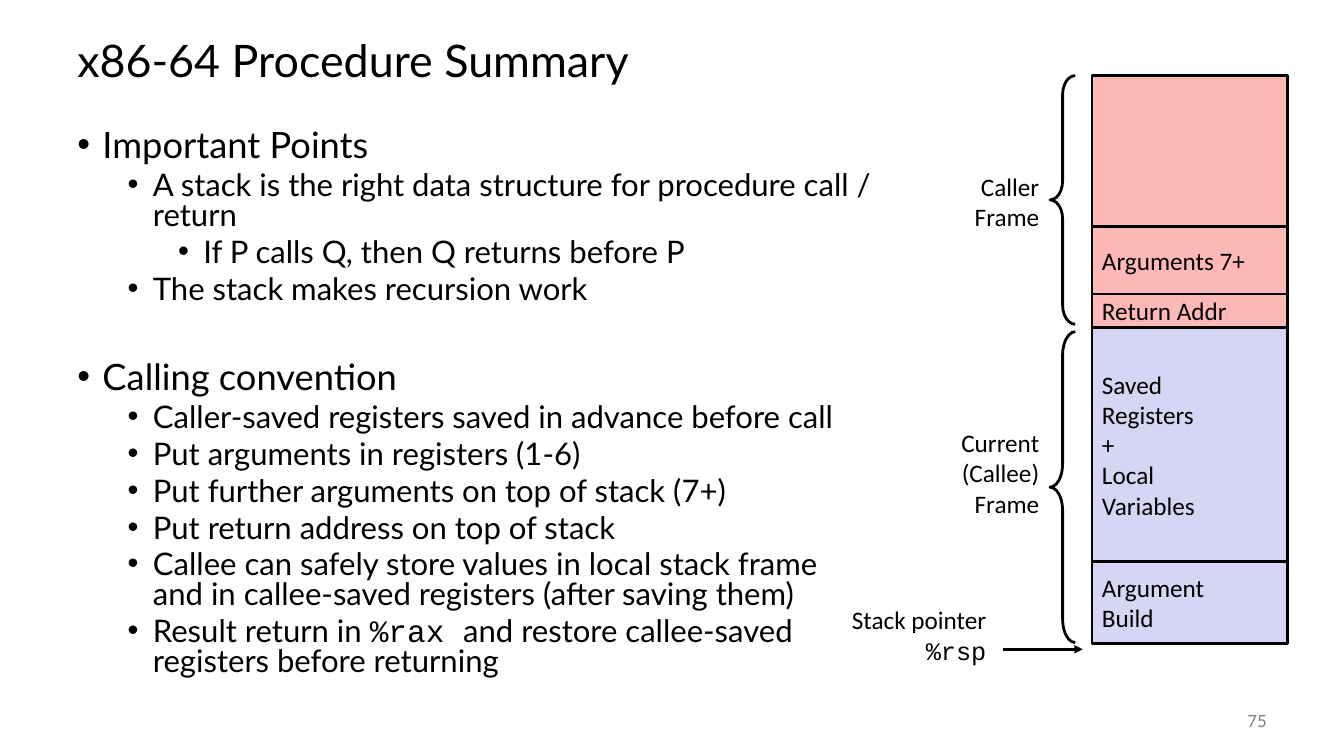
from lxml.etree import SubElement
from pptx import Presentation
from pptx.dml.color import RGBColor
from pptx.enum.shapes import MSO_CONNECTOR, MSO_SHAPE
from pptx.enum.text import MSO_ANCHOR, MSO_AUTO_SIZE, PP_ALIGN
from pptx.oxml.ns import qn
from pptx.util import Inches, Pt

BLACK = RGBColor(0x00, 0x00, 0x00)
GRAY = RGBColor(0x80, 0x80, 0x80)
PINK = RGBColor(0xFF, 0xB8, 0xB8)
LILAC = RGBColor(0xD6, 0xD6, 0xF4)

TEXT_FONT, LABEL_FONT, CODE_FONT = "Lato", "Calibri", "Courier New"
WIDTH, HEIGHT = Inches(13.33), Inches(7.5)
COLUMNS, ROWS = 160, 90

STACK_LEFT, STACK_TOP, STACK_WIDTH = 130, 9, 23.3
STACK_BLOCKS = [  # rows high, fill, text
    (18, PINK, ""),
    (8, PINK, "Arguments 7+"),
    (4, PINK, "Return Addr"),
    (27.85, LILAC, "Saved\nRegisters\n+\nLocal\nVariables"),
    (9.75, LILAC, "Argument\nBuild"),
]
SECTION_GAP = 40.5
LEVEL_SIZES = [25.9, 22.2, 22.2]
POINTS = [  # level, space before, text
    (0, 0, "Important Points"),
    (1, 5, "A stack is the right data structure for procedure call / return"),
    (2, 5, "If P calls Q, then Q returns before P"),
    (1, 5, "The stack makes recursion work"),
    (0, SECTION_GAP, "Calling convention"),
    (1, 5, "Caller-saved registers saved in advance before call"),
    (1, 5, "Put arguments in registers (1-6)"),
    (1, 5, "Put further arguments on top of stack (7+)"),
    (1, 5, "Put return address on top of stack"),
    (1, 5, "Callee can safely store values in local stack frame\v"
           "and in callee-saved registers (after saving them)"),
    (1, 5, ("Result return in ", "%rax ", "and restore callee-saved registers before returning")),
]


def grid(left, top, width, height):
    """Turn columns and rows into slide lengths."""
    return (int(WIDTH * left / COLUMNS), int(HEIGHT * top / ROWS),
            int(WIDTH * width / COLUMNS), int(HEIGHT * height / ROWS))


def place(shape, *cells):
    shape.left, shape.top, shape.width, shape.height = grid(*cells)


def format_runs(paragraph, size, font_name, color=BLACK):
    """Format every run, with register names in the code font."""
    for run in paragraph.runs:
        run.font.size = Pt(size)
        run.font.name = CODE_FONT if run.text.startswith("%") else font_name
        run.font.color.rgb = color


def fill_text(text_frame, text, alignment, size=18, font_name=LABEL_FONT, color=BLACK):
    text_frame.text = text
    for paragraph in text_frame.paragraphs:
        paragraph.alignment = alignment
        format_runs(paragraph, size, font_name, color)


def outline(shape):
    shape.line.color.rgb = BLACK
    shape.line.width = Pt(2)


def set_title(title, text):
    place(title, 8, 3, 144, 9)
    title.text_frame.auto_size = MSO_AUTO_SIZE.NONE
    title.text_frame.vertical_anchor = MSO_ANCHOR.MIDDLE
    fill_text(title.text_frame, text, PP_ALIGN.LEFT, 32, TEXT_FONT)
    title.text_frame.paragraphs[0].line_spacing = 0.9


def add_bullet(paragraph, level):
    properties = paragraph._p.get_or_add_pPr()
    properties.set("marL", str(Inches(0.25 + 0.5 * level)))
    properties.set("indent", str(Inches(-0.25)))
    SubElement(properties, qn("a:buFont")).set("typeface", "Arial")
    SubElement(properties, qn("a:buChar")).set("char", "•")


def set_points(body):
    place(body, 8, 15, 100.3, 66)
    text_frame = body.text_frame
    text_frame.auto_size = MSO_AUTO_SIZE.NONE
    for index, (level, space, text) in enumerate(POINTS):
        paragraph = text_frame.add_paragraph() if index else text_frame.paragraphs[0]
        paragraph.level = level
        add_bullet(paragraph, level)
        paragraph.line_spacing = 0.8
        paragraph.space_before = Pt(space)
        if isinstance(text, str):
            paragraph.text = text
        else:
            for part in text:
                paragraph.add_run().text = part
        format_runs(paragraph, LEVEL_SIZES[level], TEXT_FONT)


def add_block(slide, top, rows, color, text):
    block = slide.shapes.add_shape(MSO_SHAPE.RECTANGLE,
                                   *grid(STACK_LEFT, top, STACK_WIDTH, rows))
    block.shadow.inherit = False
    block.fill.solid()
    block.fill.fore_color.rgb = color
    outline(block)
    text_frame = block.text_frame
    text_frame.margin_top = text_frame.margin_bottom = 0
    text_frame.vertical_anchor = MSO_ANCHOR.MIDDLE
    if text:
        fill_text(text_frame, text, PP_ALIGN.LEFT)


def add_stack(slide):
    top = STACK_TOP
    for rows, color, text in STACK_BLOCKS:
        add_block(slide, top, rows, color, text)
        top += rows


def add_brace(slide, top, rows, curl):
    brace = slide.shapes.add_shape(MSO_SHAPE.LEFT_BRACE, *grid(125, top, 3, rows))
    brace.shadow.inherit = False
    brace.fill.background()
    outline(brace)
    brace.adjustments[0] = curl
    brace.adjustments[1] = 0.5


def add_label(slide, text, *cells):
    text_frame = slide.shapes.add_textbox(*grid(*cells)).text_frame
    text_frame.word_wrap = True
    text_frame.margin_left = text_frame.margin_right = Inches(0.04)
    text_frame.margin_top = text_frame.margin_bottom = Inches(0.04)
    fill_text(text_frame, text, PP_ALIGN.RIGHT)


def add_arrow(slide, left, row, columns):
    x, y, length, _ = grid(left, row, columns, 0)
    arrow = slide.shapes.add_connector(MSO_CONNECTOR.STRAIGHT, x, y, x + length, y)
    outline(arrow)
    SubElement(arrow.line._get_or_add_ln(), qn("a:tailEnd")).set("type", "triangle")
    SubElement(arrow._element.spPr, qn("a:effectLst"))


def add_page_number(slide, number):
    text_frame = slide.shapes.add_textbox(*grid(140, 83.4, 12, 4.8)).text_frame
    text_frame.word_wrap = True
    text_frame.vertical_anchor = MSO_ANCHOR.MIDDLE
    fill_text(text_frame, number, PP_ALIGN.RIGHT, 12, TEXT_FONT, GRAY)


def main():
    presentation = Presentation()
    presentation.slide_width, presentation.slide_height = WIDTH, HEIGHT
    slide = presentation.slides.add_slide(presentation.slide_layouts[1])
    set_title(slide.shapes.title, "x86-64 Procedure Summary")
    set_points(slide.placeholders[1])
    add_page_number(slide, "75")
    add_stack(slide)
    add_brace(slide, 9, 29.6, 0.75)
    add_brace(slide, 39.5, 37, 0.93)
    add_label(slide, "Caller\nFrame", 115.2, 19.9, 9, 8.3)
    add_label(slide, "Current\n(Callee)\nFrame", 110.5, 50.4, 13.7, 11.9)
    add_label(slide, "Stack pointer\n%rsp", 98.5, 71.5, 19.4, 8)
    add_arrow(slide, 119.4, 77.3, 9.5)
    presentation.save("out.pptx")


if __name__ == "__main__":
    main()
